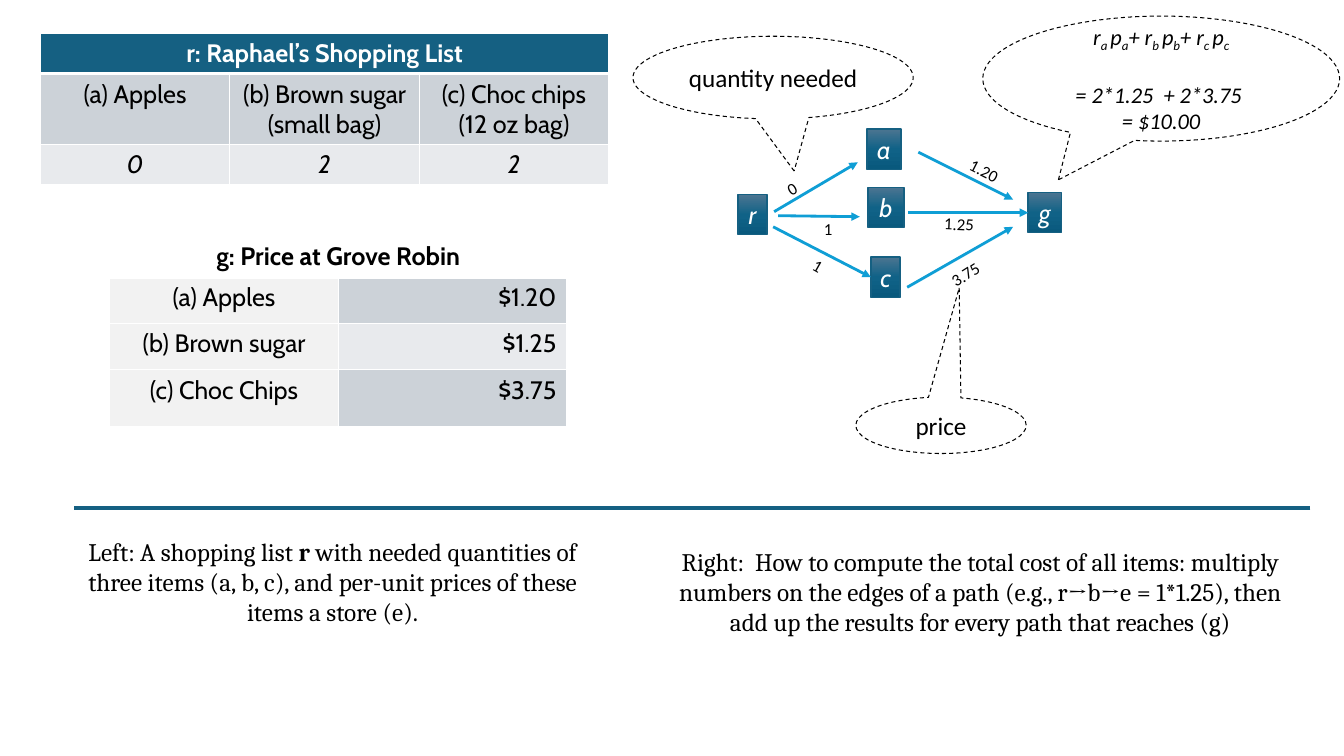
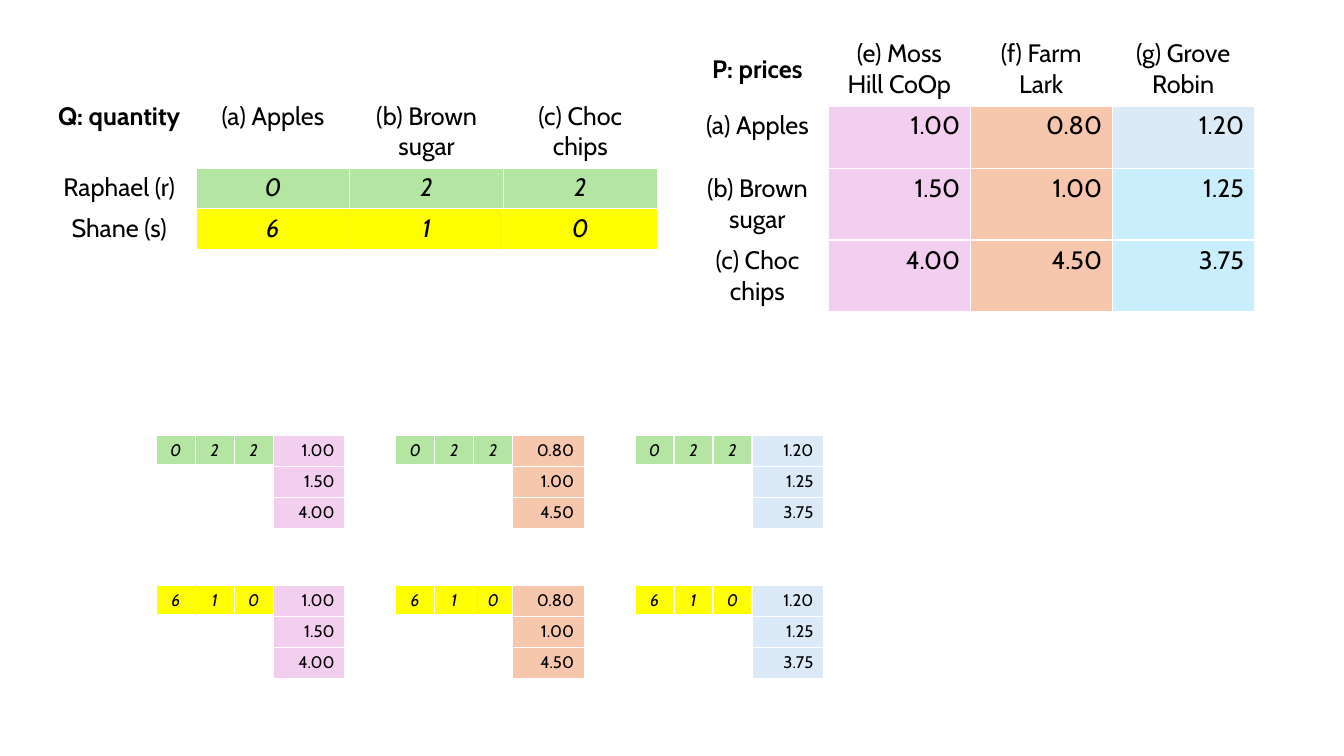
from copy import deepcopy

from lxml import etree
from pptx import Presentation
from pptx import util as u
from pptx.dml.color import RGBColor
from pptx.enum import dml, shapes, text
from pptx.oxml import ns

COLORS = {
    "black": "000000", "white": "FFFFFF", "teal": "156082", "sky": "0F9ED5",
    "node_top": "4C7591", "node_middle": "106287", "node_bottom": "09597D",
    "band_dark": "CCD2D8", "band_light": "E8EAED", "label": "F2F2F2",
    "green": "B4E5A2", "yellow": "FFFF00", "pink": "F2CFEE",
    "orange": "F6C6AD", "ice": "DCEAF7", "cyan": "CAEEFB",
}
CELLS_PER_INCH = 10


def rgb(name):
    return RGBColor.from_string(COLORS[name])


def grid(cells):
    return u.Inches(cells / CELLS_PER_INCH)


class Sheet:
    table_font = "Cabin"
    graph_font = "Calibri"
    caption_font = "Cambria"

    def __init__(self):
        self.deck = Presentation()
        self.deck.slide_width, self.deck.slide_height = grid(133.33), grid(75)
        self.slide = None

    def new_slide(self):
        self.slide = self.deck.slides.add_slide(self.deck.slide_layouts[6])

    def add_runs(self, paragraph, runs, font, size, color="black"):
        paragraph.alignment = text.PP_ALIGN.CENTER
        for words, marks in runs:
            run = paragraph.add_run()
            run.text = words
            run.font.name, run.font.size = font, u.Pt(size)
            run.font.bold, run.font.italic = "b" in marks, "i" in marks
            run.font.color.rgb = rgb(color)
            if "_" in marks:
                run.font._element.set("baseline", "-25000")

    def node(self, name, box):
        node = self.slide.shapes.add_shape(shapes.MSO_SHAPE.RECTANGLE, *map(grid, box))
        node.shadow.inherit = False
        node.line.color.rgb, node.line.width = rgb("teal"), u.Pt(1)
        node.fill.gradient()
        node.fill.gradient_angle = 270
        top, bottom = node.fill.gradient_stops
        top.color.rgb, top.position = rgb("node_middle"), 0.5
        bottom.color.rgb, bottom.position = rgb("node_bottom"), 1
        stops = node._element.spPr.find(".//" + ns.qn("a:gsLst"))
        stops.insert(0, deepcopy(stops[0]))
        first = node.fill.gradient_stops[0]
        first.color.rgb, first.position = rgb("node_top"), 0
        node.text_frame.word_wrap = False
        self.add_runs(node.text_frame.paragraphs[0], [(name, "i")], self.table_font, 18, "white")
        return node

    def line(self, start, end, color, width, arrow=False, target=None):
        line = self.slide.shapes.add_connector(
            shapes.MSO_CONNECTOR.STRAIGHT, *map(grid, start + end))
        line.line.color.rgb, line.line.width = rgb(color), u.Pt(width)
        properties = line._element.spPr
        if arrow:
            etree.SubElement(properties.find(ns.qn("a:ln")), ns.qn("a:tailEnd"), type="triangle")
        etree.SubElement(properties, ns.qn("a:effectLst"))
        if target is not None:
            line.end_connect(target, 1)

    def callout(self, box, tip, paragraphs, size=18, gap=0):
        bubble = self.slide.shapes.add_shape(shapes.MSO_SHAPE.OVAL_CALLOUT, *map(grid, box))
        bubble.shadow.inherit = False
        bubble.fill.background()
        bubble.line.color.rgb, bubble.line.width = rgb("black"), u.Pt(0.75)
        bubble.line.dash_style = dml.MSO_LINE.DASH
        bubble.adjustments[0], bubble.adjustments[1] = tip
        frame = bubble.text_frame
        frame.vertical_anchor = text.MSO_ANCHOR.MIDDLE
        for index, runs in enumerate(paragraphs):
            paragraph = frame.add_paragraph() if index else frame.paragraphs[0]
            if index == 1:
                paragraph.space_before = u.Pt(gap)
            self.add_runs(paragraph, runs, self.graph_font, size)

    def words(self, box, runs, font, size, rotation=0):
        area = self.slide.shapes.add_textbox(*map(grid, box))
        area.rotation = rotation
        area.text_frame.word_wrap = True
        self.add_runs(area.text_frame.paragraphs[0], runs, font, size)

    def border(self, cell, side, width):
        properties = cell._tc.get_or_add_tcPr()
        edge = etree.SubElement(properties, ns.qn("a:ln" + side), w=str(u.Pt(width)))
        fill = etree.SubElement(edge, ns.qn("a:solidFill"))
        etree.SubElement(fill, ns.qn("a:srgbClr"), val=COLORS["white"])

    def table(self, corner, widths, heights, rows, size=18, color="black", header=True):
        table = self.slide.shapes.add_table(
            len(heights), len(widths), *map(grid, corner + (sum(widths), sum(heights)))).table
        table.first_row = table.horz_banding = False
        for column, width in zip(table.columns, widths):
            column.width = grid(width)
        for index, (height, row) in enumerate(zip(heights, rows)):
            table.rows[index].height = grid(height)
            if len(row) < len(widths):
                table.cell(index, 0).merge(table.cell(index, len(widths) - 1))
            heading = header and index == 0
            for column, (words, marks, fill) in enumerate(row):
                cell = table.cell(index, column)
                for side in "LRTB" if index == 0 else "LRB":
                    self.border(cell, side, 3 if heading and side == "B" else 1)
                if fill:
                    cell.fill.solid()
                    cell.fill.fore_color.rgb = rgb(fill)
                else:
                    cell.fill.background()
                if "m" in marks:
                    cell.vertical_anchor = text.MSO_ANCHOR.MIDDLE
                paragraph = cell.text_frame.paragraphs[0]
                self.add_runs(paragraph, [(words, marks)], self.table_font, size,
                              color if heading else "black")
                if "r" in marks:
                    paragraph.alignment = text.PP_ALIGN.RIGHT


def style_row(values, marks="", fill=None):
    return [(value, marks, fill) for value in values]


def shopping_graph(sheet):
    sheet.new_slide()
    boxes = {
        "a": (86, 12.8, 3.4, 4), "b": (86.1, 18.6, 3.6, 4), "c": (86.4, 25.5, 2.9, 4),
        "g": (102, 19.1, 3.3, 4), "r": (73.2, 19.3, 2.9, 4),
    }
    nodes = {name: sheet.node(name, box) for name, box in boxes.items()}
    for start, end, target in [
        ((76.8, 21), (85.1, 16.1), None),
        ((77.2, 21.4), (85.3, 21.5), None),
        ((76.7, 22.5), (86.4, 27.5), "c"),
        ((91.1, 15.1), (100.5, 19.8), None),
        ((90.1, 21.1), (102, 21.1), "g"),
        ((90, 28.5), (100.5, 22.5), None),
    ]:
        sheet.line(start, end, "sky", 2, True, nodes.get(target))
    for weight, left, top, width, rotation in [
        ("0", 74.8, 17.2, 7.5, 330.3),
        ("1", 78.4, 21.2, 7.5, 0),
        ("1", 77.4, 24.9, 7.5, 29.6),
        ("1.20", 93, 15.4, 9.3, 27),
        ("1.25", 91.4, 20.7, 7.5, 2.9),
        ("3.75", 92, 25.7, 7.5, 327.4),
    ]:
        sheet.words((left, top, width, 3), [(weight, "")], sheet.graph_font, 12, rotation)

    sheet.callout((62.8, 3.6, 27.8, 8.2), (0.075, 1.13), [[("quantity needed", "")]])
    sheet.callout((84.9, 39.4, 16.9, 5.6), (0.107, -2.436), [[("price", "")]])
    products = []
    for item in "abc":
        products += [("+ r" if products else "r", "i"), (item + " ", "i_"),
                     ("p", "i"), (item, "i_")]
    sheet.callout(
        (97.5, 1.6, 35.4, 12.4), (-0.288, 0.81),
        [products, [("= 2*1.25  + 2*3.75 ", "i")], [("= $10.00", "i")]], 16, 19.5)

    sheet.table((4, 3.3), [18.8] * 3, [4, 7, 4], [
        style_row(["r: Raphael’s Shopping List"], "b", "teal"),
        style_row(["(a) Apples", "(b) Brown sugar (small bag)", "(c) Choc chips (12 oz bag)"],
                  "", "band_dark"),
        style_row("022", "i", "band_light"),
    ], color="white")
    prices = [("(a) Apples", "$1.20", "band_dark"), ("(b) Brown sugar", "$1.25", "band_light"),
              ("(c) Choc Chips", "$3.75", "band_dark")]
    sheet.table((10.9, 23.4), [22.65] * 2, [4.1, 4.6, 4.6, 5.6],
                [style_row(["g: Price at Grove Robin"], "b")]
                + [[(item, "", "label"), (price, "r", band)] for item, price, band in prices])

    sheet.line((130, 50.4), (7.3, 50.4), "teal", 3)
    sheet.words((7.3, 52.7, 51.4, 10.1), [
        ("Left: A shopping list ", ""), ("r ", "b"),
        ("with needed quantities of three items (a, b, c), and per-unit prices of these "
         "items a store (e).", ""),
    ], sheet.caption_font, 18)
    sheet.words((65.2, 53.7, 64.1, 10.1), [
        ("Right:  How to compute the total cost of all items: multiply numbers on the edges "
         "of a path (e.g., r→b→e = 1*1.25), then add up the results for every path that "
         "reaches (g)", ""),
    ], sheet.caption_font, 18)


def matrix_product(sheet):
    sheet.new_slide()
    items = ["(a) Apples", "(b) Brown sugar", "(c) Choc chips"]
    shoppers = [("Raphael (r)", "022", "green"), ("Shane (s)", "610", "yellow")]
    stores = [
        ("(e) Moss Hill CoOp", ["1.00", "1.50", "4.00"], "pink"),
        ("(f) Farm Lark", ["0.80", "1.00", "4.50"], "orange"),
        ("(g) Grove Robin", ["1.20", "1.25", "3.75"], "ice"),
    ]
    sheet.table((4.2, 9.5), [15.25] * 4, [7, 4, 4],
                [style_row(["Q: quantity"], "b") + style_row(items)]
                + [style_row([name]) + style_row(needs, "i", fill)
                   for name, needs, fill in shoppers])

    price_rows = [style_row(["P: prices"], "bm") + style_row(store[0] for store in stores)]
    for index, item in enumerate(items):
        price_rows.append(style_row([item]) + [
            (prices[index], "r", "cyan" if fill == "ice" and index else fill)
            for _, prices, fill in stores])
    sheet.table((68.1, 3.3), [14.08] * 4, [7, 6.3, 7.1, 7.1], price_rows)

    for row, (_, needs, need_fill) in enumerate(shoppers):
        for column, (_, prices, price_fill) in enumerate(stores):
            left, top = 15.5 + 23.75 * column, 43.2 + 14.9 * row
            sheet.table((left, top), [3.87] * 3, [3], [style_row(needs, "i", need_fill)], 12)
            sheet.table((left + 11.6, top), [7.1], [3.07] * 3,
                        [style_row([price], "r", price_fill) for price in prices],
                        12, header=False)


def main():
    sheet = Sheet()
    shopping_graph(sheet)
    matrix_product(sheet)
    sheet.deck.save("out.pptx")


if __name__ == "__main__":
    main()
